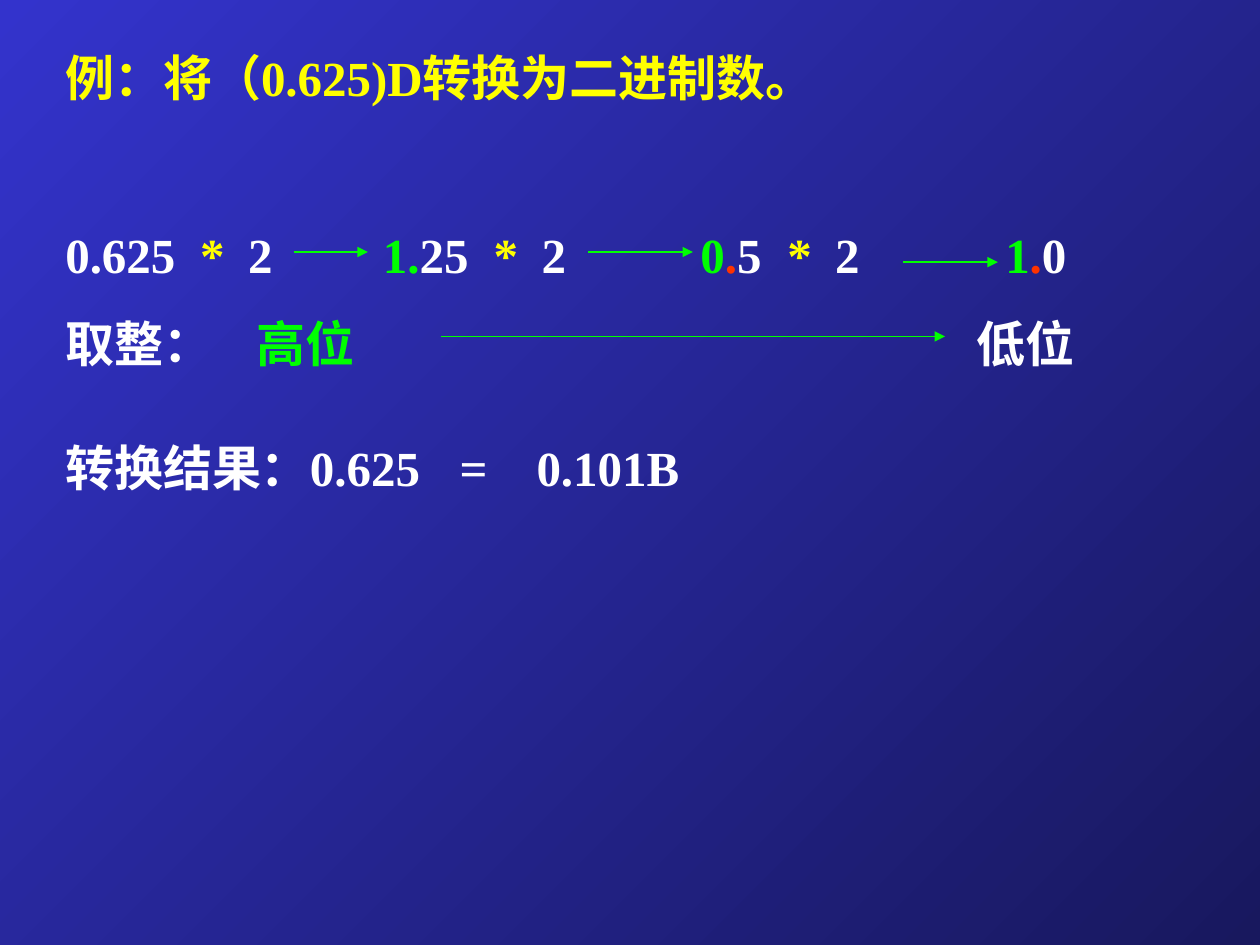
from lxml.etree import SubElement
from pptx import Presentation
from pptx.dml.color import RGBColor as Rgb
from pptx.enum.shapes import MSO_CONNECTOR as Conn
from pptx.enum.text import MSO_AUTO_SIZE as Fit
from pptx.oxml.ns import qn
from pptx.util import Inches, Pt

INK = {
    "white": "FFFFFF", "yellow": "FFFF00", "green": "00FF00",
    "red": "FF3300", "blue": "3333CC", "navy": "18185E",
}


class Deck:
    """Holds the style and the current slide, and draws each kind of element."""

    font, size, gap = "Times New Roman", 28, 17.5

    def __init__(self):
        self.prs = Presentation()
        self.prs.slide_width, self.prs.slide_height = Inches(10), Inches(7.5)
        self.slide = self.prs.slides.add_slide(self.prs.slide_layouts[6])

    def ink(self, name):
        return Rgb.from_string(INK[name])

    def ground(self, start, end):
        fill = self.slide.background.fill
        fill.gradient()
        fill.gradient_angle = 315
        for stop, name in zip(fill.gradient_stops, (start, end)):
            stop.color.rgb = self.ink(name)

    def text(self, left, top, width, height, rows):
        box = self.slide.shapes.add_textbox(*map(Inches, (left, top, width, height)))
        frame = box.text_frame
        frame.word_wrap = True
        frame.auto_size = Fit.SHAPE_TO_FIT_TEXT
        for i, (space, tabs, runs) in enumerate(rows):
            para = frame.add_paragraph() if i else frame.paragraphs[0]
            self.tabs(para, tabs)
            para.space_before = Pt(space)
            for words, name in runs:
                self.run(para, words, name)

    def tabs(self, para, stops):
        if stops:
            tabs = SubElement(para._p.get_or_add_pPr(), qn("a:tabLst"))
            for stop in stops:
                SubElement(tabs, qn("a:tab"), pos=str(Inches(stop)), algn="l")

    def run(self, para, words, name):
        run = para.add_run()
        run.text = words
        font = run.font
        font.name, font.size, font.bold = self.font, Pt(self.size), True
        font.color.rgb = self.ink(name)

    def arrow(self, left, right, y):
        ends = map(Inches, (left, y, right, y))
        line = self.slide.shapes.add_connector(Conn.STRAIGHT, *ends)
        line.line.color.rgb = self.ink("green")
        line.line.width = Pt(0.75)
        SubElement(line.line._get_or_add_ln(), qn("a:tailEnd"), type="triangle")
        SubElement(line._element.spPr, qn("a:effectLst"))


def main():
    deck = Deck()
    deck.ground("blue", "navy")
    times = [("\t*", "yellow"), ("\t2", "white")]
    steps = [
        ("0.625", "white"), *times,
        ("\t1.", "green"), ("25", "white"), *times,
        ("\t0", "green"), (".", "red"), ("5", "white"), *times,
        ("\t1", "green"), (".", "red"), ("0", "white"),
    ]
    stops = [1.07, 1.45, 2.52, 3.4, 3.78, 5.04, 5.73, 6.11, 7.46]
    digits = [("取整：", "white"), ("\t高位", "green"), ("\t低位", "white")]
    deck.text(0.42, 0.33, 8.92, 2.7, [
        (0, [], [("例：将（0.625)D转换为二进制数。", "yellow")]),
        (2 * deck.gap + 1.15 * deck.size, stops, steps),
        (deck.gap, [1.52, 7.23], digits),
    ])
    for left, right, y in [
        (2.33, 2.92, 2), (4.67, 5.5, 2), (7.17, 7.92, 2.08), (3.5, 7.5, 2.67),
    ]:
        deck.arrow(left, right, y)
    result = [("转换结果：0.625\t=\t0.101B", "white")]
    deck.text(0.42, 3.42, 8.83, 0.63, [(0, [3.13, 3.74], result)])
    deck.prs.save("out.pptx")


if __name__ == "__main__":
    main()
